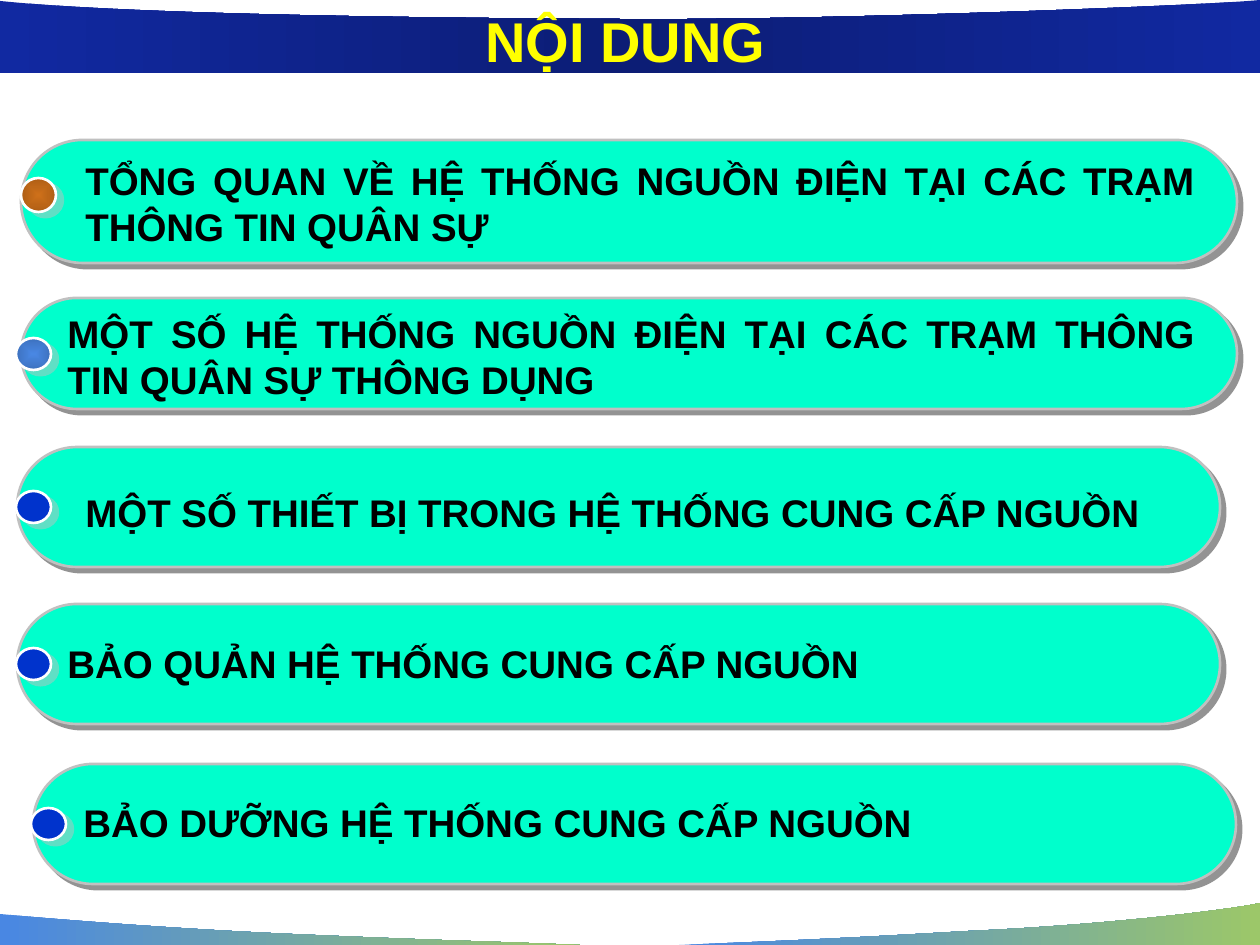
from dataclasses import dataclass

from lxml import etree
from pptx import Presentation
from pptx import util as u
from pptx.dml.color import RGBColor
from pptx.enum import shapes, text
from pptx.oxml import ns

Point = tuple[int, int]
Box = tuple[int, int, int, int]

SCALE = 914400 / 126
WIDE, HIGH = 1260, 945
COLORS = {
    "blue": "4987E3", "green": "9CC769", "royal": "1129A1", "mint": "00FFCC",
    "silver": "C0C0C0", "ash": "292929", "white": "FFFFFF", "orange": "CE701A",
    "cobalt": "0033CC", "yellow": "FFFF00", "black": "000000",
}
# Darker tones: base colour and percent of shade
SHADES = {"navy": ("royal", 48), "brown": ("orange", 68), "steel": ("blue", 67)}
TITLE = {"size": u.Pt(32), "name": "Arial", "bold": True}
BODY = {**TITLE, "size": u.Pt(22)}
FRAME = {"word_wrap": True, "auto_size": text.MSO_AUTO_SIZE.SHAPE_TO_FIT_TEXT}


@dataclass
class Wave:
    start: Point
    curves: list[Point]
    base: list[Point]
    stops: list[str]


@dataclass
class Item:
    words: str
    bar: Box
    dot: Box
    label: Box
    tint: list[str]


WAVES = [
    Wave((580, 945), [(484, 941), (451, 941), (292, 934),
                      (134, 927), (1, 914), (0, 914)],
         [(0, HIGH)], ["blue", "green"]),
    Wave((679, 945), [(774, 941), (814, 940), (969, 931),
                      (1124, 924), (1247, 907), (WIDE, 903)],
         [(WIDE, HIGH)], ["blue", "green"]),
    Wave((WIDE, 0), [(1215, 5), (823, 21), (614, 19),
                     (404, 18), (127, 14), (0, 1)],
         [(0, 73), (WIDE, 73)], ["royal", "navy", "royal"]),
]
ITEMS = [
    Item("TỔNG QUAN VỀ HỆ THỐNG NGUỒN ĐIỆN TẠI CÁC TRẠM THÔNG TIN QUÂN SỰ",
         (21, 140, 1216, 123), (21, 178, 35, 34), (73, 151, 1134, 106),
         ["orange", "brown"]),
    Item("MỘT SỐ HỆ THỐNG NGUỒN ĐIỆN TẠI CÁC TRẠM THÔNG TIN QUÂN SỰ THÔNG DỤNG",
         (21, 298, 1216, 111), (16, 338, 35, 32), (55, 304, 1152, 106),
         ["blue", "steel"]),
    Item("MỘT SỐ THIẾT BỊ TRONG HỆ THỐNG CUNG CẤP NGUỒN",
         (17, 447, 1203, 120), (16, 491, 35, 32), (73, 483, 1113, 59), ["cobalt"]),
    Item("BẢO QUẢN HỆ THỐNG CUNG CẤP NGUỒN",
         (17, 604, 1203, 120), (16, 648, 35, 32), (55, 634, 1131, 59), ["cobalt"]),
    Item("BẢO DƯỠNG HỆ THỐNG CUNG CẤP NGUỒN",
         (33, 764, 1203, 120), (31, 808, 35, 32), (71, 793, 1131, 59), ["cobalt"]),
]


def emu(*px: int) -> list[int]:
    return [round(n * SCALE) for n in px]


def rgb(name: str) -> RGBColor:
    return RGBColor.from_string(COLORS[name])


def add(node, tag: str, **attrs):
    return etree.SubElement(node, ns.qn(tag), {k: str(v) for k, v in attrs.items()})


def paint(shape, names: list[str]) -> None:
    """Fill with one colour, or with a gradient of evenly spaced stops."""
    shape.fill.solid()
    shape.fill.fore_color.rgb = rgb(names[0])
    if len(names) == 1:
        return
    props = shape._element.spPr
    grad = etree.Element(ns.qn("a:gradFill"), rotWithShape="1")
    stops = add(grad, "a:gsLst")
    for i, name in enumerate(names):
        base, shade = SHADES.get(name, (name, 100))
        stop = add(stops, "a:gs", pos=i * 100000 // (len(names) - 1))
        color = add(stop, "a:srgbClr", val=COLORS[base])
        if shade < 100:
            add(color, "a:shade", val=shade * 1000)
    if shape.shape_type == shapes.MSO_SHAPE_TYPE.FREEFORM:
        add(grad, "a:lin", ang=0, scaled=1)
    else:
        way = add(grad, "a:path", path="shape")
        add(way, "a:fillToRect", l=50000, t=50000, r=50000, b=50000)
    props.replace(props.find(ns.qn("a:solidFill")), grad)


def cast(shape, name: str, dist: float, angle: int) -> None:
    """Give the shape a hard, half-transparent shadow."""
    shape.shadow.inherit = False
    effects = shape._element.spPr.find(ns.qn("a:effectLst"))
    drop = add(effects, "a:outerShdw", blurRad=0, dist=u.Pt(dist),
               dir=angle * 60000, algn="ctr", rotWithShape=0)
    add(add(drop, "a:srgbClr", val=COLORS[name]), "a:alpha", val=50000)


def bend(shape, count: int) -> None:
    """Turn the first count line segments into curves of three points each."""
    lines = list(shape._element.iter(ns.qn("a:lnTo")))[:count]
    for i in range(0, count, 3):
        curve = etree.Element(ns.qn("a:cubicBezTo"))
        lines[i].addprevious(curve)
        for line in lines[i:i + 3]:
            curve.append(line[0])
            line.getparent().remove(line)


def draw_wave(slide, wave: Wave) -> None:
    pen = slide.shapes.build_freeform(*emu(*wave.start))
    pen.add_line_segments([emu(*p) for p in wave.curves + wave.base])
    shape = pen.convert_to_shape()
    bend(shape, len(wave.curves))
    paint(shape, wave.stops)
    shape.line.fill.background()
    shape.shadow.inherit = False


def draw_shape(group, kind, box: Box, tint: list[str], edge: str):
    shape = group.shapes.add_shape(kind, *emu(*box))
    paint(shape, tint)
    shape.line.color.rgb = rgb(edge)
    shape.line.width = u.Pt(1.5)
    return shape


def draw_text(slide, words: str, box: Box, font: dict, color: str, align) -> None:
    frame = slide.shapes.add_textbox(*emu(*box)).text_frame
    for key, value in FRAME.items():
        setattr(frame, key, value)
    para = frame.paragraphs[0]
    para.alignment = align
    run = para.add_run()
    run.text = words
    for key, value in font.items():
        setattr(run.font, key, value)
    run.font.color.rgb = rgb(color)


def draw_item(slide, item: Item) -> None:
    group = slide.shapes.add_group_shape()
    kind = shapes.MSO_SHAPE
    bar = draw_shape(group, kind.ROUNDED_RECTANGLE, item.bar, ["mint"], "silver")
    bar.adjustments[0] = 0.5
    cast(bar, "ash", 4.2, 45)
    dot = draw_shape(group, kind.OVAL, item.dot, item.tint, "white")
    cast(dot, "silver", 5, 37)
    draw_text(slide, item.words, item.label, BODY, "black", text.PP_ALIGN.JUSTIFY)


def main() -> None:
    deck = Presentation()
    deck.slide_width, deck.slide_height = emu(WIDE, HIGH)
    slide = deck.slides.add_slide(deck.slide_layouts[6])
    for wave in WAVES:
        draw_wave(slide, wave)
    draw_text(slide, "NỘI DUNG", (0, 0, 1251, 81), TITLE, "yellow",
              text.PP_ALIGN.CENTER)
    for item in ITEMS:
        draw_item(slide, item)
    deck.save("out.pptx")


if __name__ == "__main__":
    main()
